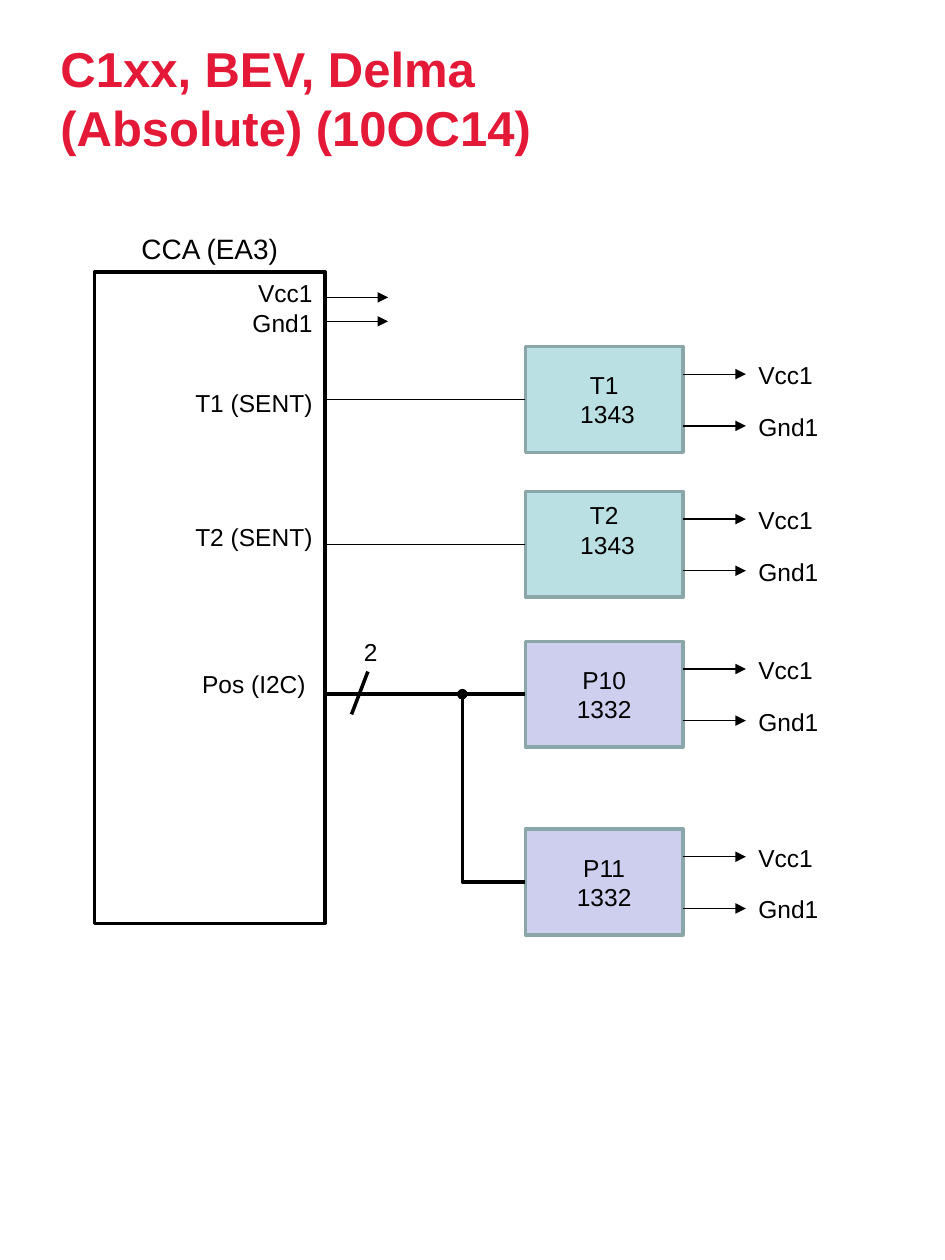
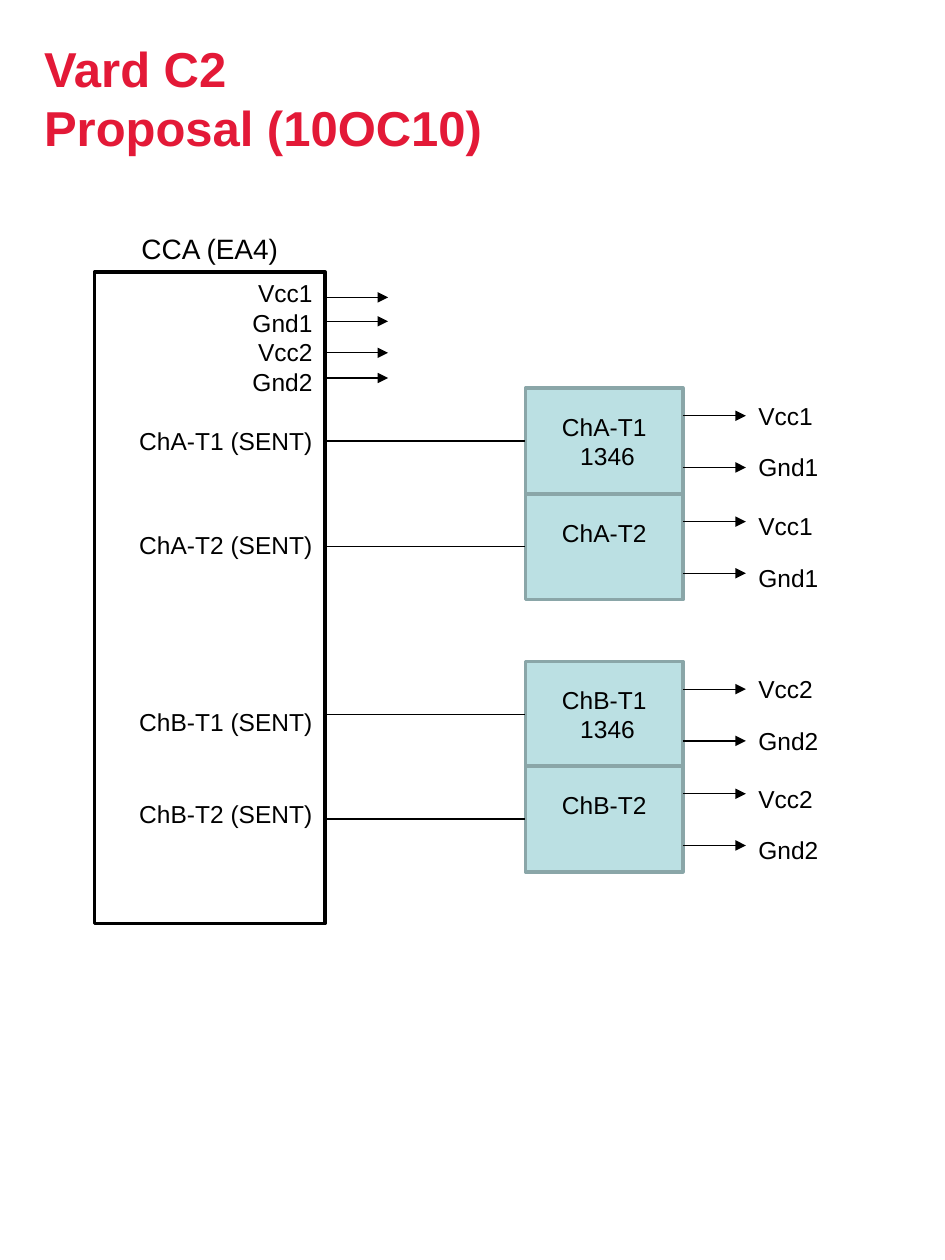
from pptx import Presentation
from pptx.dml.color import RGBColor
from pptx.enum.shapes import MSO_CONNECTOR as CONN, MSO_SHAPE as SHAPE
from pptx.enum.text import MSO_ANCHOR as ANCHOR, PP_ALIGN as ALIGN
from pptx.oxml.ns import qn
from pptx.util import Inches, Pt
from lxml.etree import SubElement

RED = RGBColor(0xE3, 0x19, 0x37)
BLACK = RGBColor(0, 0, 0)
WHITE = RGBColor(0xFF, 0xFF, 0xFF)
TEAL = RGBColor(0xBB, 0xE0, 0xE3)
LILAC = RGBColor(0xCE, 0xCE, 0xEF)
EDGE = RGBColor(0x8A, 0xA6, 0xA8)
FONT = "Arial"

# Shared geometry, in inches
CCA_X, CCA_Y, CCA_W, CCA_H = 0.75, 2.16, 1.83, 5.17
CCA_RIGHT = CCA_X + CCA_W
CHIP_X, CHIP_W, CHIP_H = 4.17, 1.25, 0.84
CHIP_RIGHT = CHIP_X + CHIP_W
PIN_LEN = 0.5
BUS_X = 3.67

# ports: (text, points of space before)
# chips: (lines, top, fill, supply number, first label offset, wire points, bottom inset)
SLIDES = [
    dict(title=("C1xx, BEV, Delma", "(Absolute) (10OC14)"), title_x=0.38, title_w=4.88,
         cca="CCA (EA3)", pins=(2.36, 2.55),
         ports=[("Vcc1", 0), ("Gnd1", 0), ("T1 (SENT)", 29),
                ("T2 (SENT)", 60), ("Pos (I2C) ", 67)],
         chips=[(("T1", " 1343"), 2.75, TEAL, 1, 0.06, 0.75, 0.05),
                (("T2", " 1343"), 3.9, TEAL, 1, 0.06, 0.75, 0.28),
                (("P10", "1332"), 5.09, LILAC, 1, 0.06, 2, 0.05),
                (("P11", "1332"), 6.58, LILAC, 1, 0.06, 0, 0.05)]),
    dict(title=("Vard C2", "Proposal (10OC10)"), title_x=0.25, title_w=5.17,
         cca="CCA (EA4)", pins=(2.36, 2.55, 2.8, 3),
         ports=[("Vcc1", 0), ("Gnd1", 0), ("Vcc2", 0), ("Gnd2", 0),
                ("ChA-T1 (SENT)", 17), ("ChA-T2 (SENT)", 43),
                ("ChB-T1 (SENT)", 84), ("ChB-T2 (SENT)", 36)],
         chips=[(("ChA-T1", " 1346"), 3.08, TEAL, 1, 0.05, 0.75, 0.05),
                (("ChA-T2",), 3.92, TEAL, 1, 0.09, 0.75, 0.28),
                (("ChB-T1", " 1346"), 5.25, TEAL, 2, 0.05, 0.75, 0.05),
                (("ChB-T2",), 6.08, TEAL, 2, 0.09, 0.75, 0.28)]),
]


def add_text(s, box, lines, size=14, align=ALIGN.LEFT, anchor=ANCHOR.TOP,
             fill=None, edge=BLACK):
    """Text box, or a rectangle when a fill is given; lines are (text, space before)."""
    at = [Inches(v) for v in box]
    if fill is None:
        sp = s.shapes.add_textbox(*at)
    else:
        sp = s.shapes.add_shape(SHAPE.RECTANGLE, *at)
        sp.shadow.inherit = False
        sp.fill.solid()
        sp.fill.fore_color.rgb = fill
        sp.line.color.rgb = edge
        sp.line.width = Pt(2)
    tf = sp.text_frame
    tf.word_wrap = True
    tf.vertical_anchor = anchor
    for i, (text, space) in enumerate(lines):
        p = tf.paragraphs[0] if i == 0 else tf.add_paragraph()
        p.alignment = align
        p.space_before = Pt(space)
        r = p.add_run()
        r.text = text
        r.font.name, r.font.size, r.font.color.rgb = FONT, Pt(size), BLACK
    return sp


def add_line(s, x1, y1, x2, y2, width=0.75, end=None, kind=CONN.STRAIGHT):
    c = s.shapes.add_connector(kind, *[Inches(v) for v in (x1, y1, x2, y2)])
    c.line.color.rgb = BLACK
    c.line.width = Pt(width)
    if end:
        SubElement(c.line._get_or_add_ln(), qn("a:tailEnd"), type=end)
    SubElement(c._element.spPr, qn("a:effectLst"))
    return c


prs = Presentation()
prs.slide_width, prs.slide_height = Inches(7.5), Inches(10)

for d in SLIDES:
    s = prs.slides.add_slide(prs.slide_layouts[5])

    # Title
    t = s.shapes.title
    t.left, t.top = Inches(d["title_x"]), Inches(0.11)
    t.width, t.height = Inches(d["title_w"]), Inches(1.33)
    t.text_frame.vertical_anchor = ANCHOR.MIDDLE
    p = t.text_frame.paragraphs[0]
    p.alignment = ALIGN.LEFT
    for i, text in enumerate(d["title"]):
        if i:
            p.add_line_break()
        r = p.add_run()
        r.text = text
        r.font.name, r.font.size, r.font.bold = FONT, Pt(28), True
        r.font.color.rgb = RED

    # Controller block with its supply pins
    add_text(s, (CCA_X, CCA_Y, CCA_W, CCA_H), d["ports"], align=ALIGN.RIGHT, fill=WHITE)
    add_text(s, (CCA_X, 1.79, CCA_W, 0.37), [(d["cca"], 0)], size=16, align=ALIGN.CENTER)
    for y in d["pins"]:
        add_line(s, CCA_RIGHT, y, CCA_RIGHT + PIN_LEN, y, end="triangle")

    # Sensor chips with signal wires and supply pins
    for lines, top, fill, supply, label_dy, wire, inset in d["chips"]:
        chip = add_text(s, (CHIP_X, top, CHIP_W, CHIP_H), [(text, 0) for text in lines],
                        align=ALIGN.CENTER, anchor=ANCHOR.MIDDLE, fill=fill, edge=EDGE)
        chip.text_frame.margin_bottom = Inches(inset)
        mid = top + CHIP_H / 2
        if wire:
            add_line(s, CCA_RIGHT, mid, CHIP_X, mid, wire).end_connect(chip, 1)
        for i, rail in enumerate(("Vcc", "Gnd")):
            y = top + 0.22 + 0.41 * i
            add_line(s, CHIP_RIGHT, y, CHIP_RIGHT + PIN_LEN, y, end="triangle")
            add_text(s, (CHIP_RIGHT + PIN_LEN, top + label_dy + 0.41 * i, 0.75, 0.34),
                     [(f"{rail}{supply}", 0)])

    # Two-wire bus: branch from the P10 wire to P11, slash and wire count
    if d is SLIDES[0]:
        p10_mid, p11_mid = [chip[1] + CHIP_H / 2 for chip in d["chips"][2:]]
        branch = add_line(s, CHIP_X, p11_mid, BUS_X, p10_mid, 2, "oval", CONN.ELBOW)
        branch._element.spPr.find(qn("a:prstGeom")).set("prst", "bentConnector2")
        add_line(s, 2.79, 5.67, 2.92, 5.33, 2)
        add_text(s, (2.79, 5.01, 0.26, 0.34), [("2", 0)])

prs.save("out.pptx")
